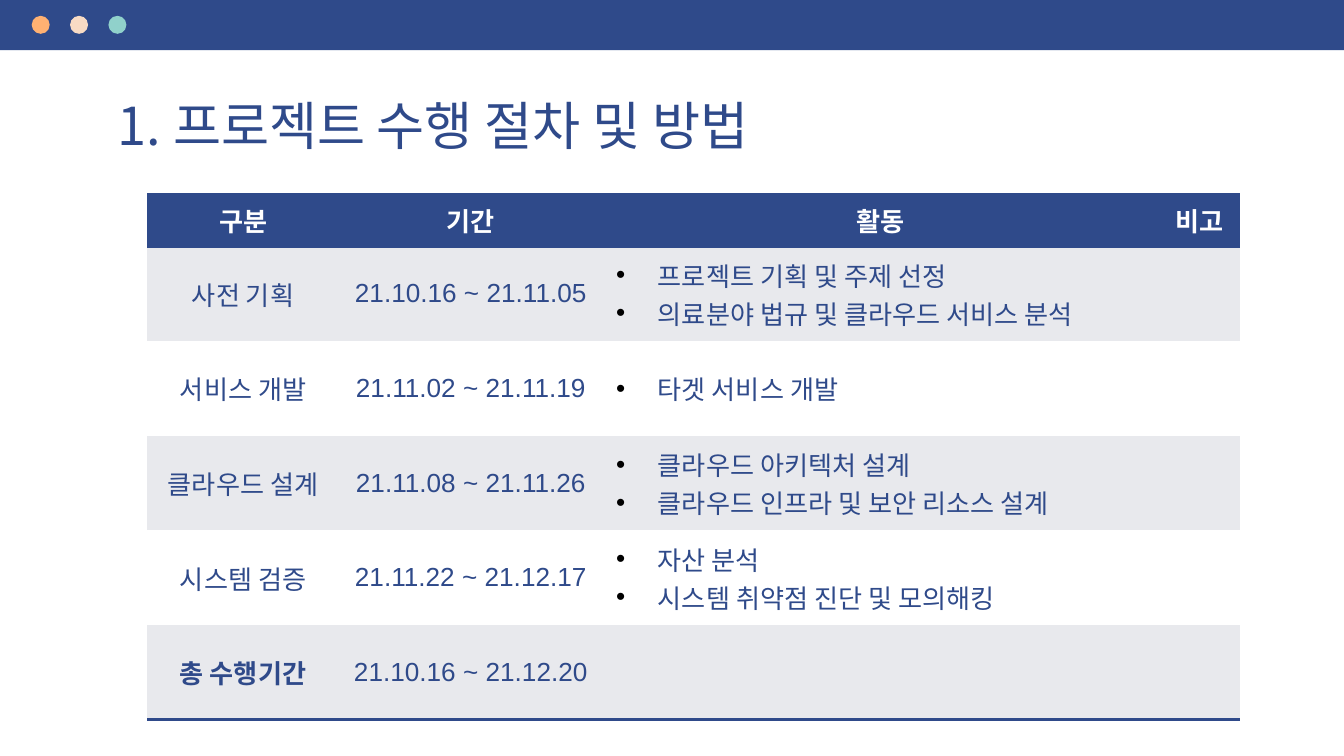
"""Builds a slide with a project schedule table under a window-style title bar."""
from lxml import etree
from pptx import Presentation
from pptx.dml.color import RGBColor
from pptx.enum.shapes import MSO_SHAPE
from pptx.enum.text import MSO_ANCHOR, PP_ALIGN
from pptx.oxml.ns import qn
from pptx.util import Cm, Pt

RECT, OVAL = MSO_SHAPE.RECTANGLE, MSO_SHAPE.OVAL
TOP, MIDDLE = MSO_ANCHOR.TOP, MSO_ANCHOR.MIDDLE
LEFT, CENTER = PP_ALIGN.LEFT, PP_ALIGN.CENTER

NAVY = RGBColor(0x2F, 0x4A, 0x8A)
ORANGE = RGBColor(0xFF, 0xB1, 0x72)
PEACH = RGBColor(0xF8, 0xDB, 0xC4)
TEAL = RGBColor(0x90, 0xD1, 0xCB)
GREY = RGBColor(0xE8, 0xE9, 0xED)
WHITE = RGBColor(0xFF, 0xFF, 0xFF)
BLACK = RGBColor(0, 0, 0)

TITLE_FONT, TABLE_FONT = "Noto Sans CJK KR", "Arial"
HEADER = ["구분", "기간", "활동", "비고"]
SCHEDULE = [
    ("사전 기획", "21.10.16 ~ 21.11.05",
     ["프로젝트 기획 및 주제 선정", "의료분야 법규 및 클라우드 서비스 분석"]),
    ("서비스 개발", "21.11.02 ~ 21.11.19", ["타겟 서비스 개발"]),
    ("클라우드 설계", "21.11.08 ~ 21.11.26",
     ["클라우드 아키텍처 설계", "클라우드 인프라 및 보안 리소스 설계"]),
    ("시스템 검증", "21.11.22 ~ 21.12.17",
     ["자산 분석", "시스템 취약점 진단 및 모의해킹"]),
    ("총 수행기간", "21.10.16 ~ 21.12.20", []),
]
COLUMN_WIDTHS = [3.63, 4.98, 10.52, 1.52]
HEADER_HEIGHT, ROW_HEIGHT = 0.97, 1.79


def add_plain_shape(slide, kind, x, y, w, h, color):
    """Add a filled shape without line or shadow."""
    s = slide.shapes.add_shape(kind, Cm(x), Cm(y), Cm(w), Cm(h))
    s.shadow.inherit = False
    s.fill.solid()
    s.fill.fore_color.rgb = color
    s.line.fill.background()


def add_run(p, text, font, size, color, bold=False):
    """Append a formatted run to a paragraph."""
    r = p.add_run()
    r.text = text
    r.font.name, r.font.size, r.font.bold = font, Pt(size), bold
    r.font.color.rgb = color
    ea = etree.SubElement(r.font._element, qn("a:ea"))
    ea.set("typeface", TITLE_FONT)


def add_title(slide, text):
    """Add the slide heading."""
    tf = slide.shapes.add_textbox(Cm(1.98), Cm(1.52), Cm(21.44), Cm(1.3)).text_frame
    tf.word_wrap = True
    tf.vertical_anchor = TOP
    tf.margin_left = tf.margin_right = tf.margin_top = tf.margin_bottom = Cm(0.25)
    add_run(tf.paragraphs[0], text, TITLE_FONT, 28, NAVY)


def set_bullet(p):
    """Give a paragraph a hanging black bullet."""
    pPr = p._p.get_or_add_pPr()
    pPr.set("marL", str(Cm(0.79)))
    pPr.set("indent", str(-Cm(0.79)))
    color = etree.SubElement(pPr, qn("a:buClr"))
    etree.SubElement(color, qn("a:srgbClr")).set("val", str(BLACK))
    etree.SubElement(pPr, qn("a:buFont")).set("typeface", TABLE_FONT)
    etree.SubElement(pPr, qn("a:buChar")).set("char", "•")


def set_borders(cell, colors):
    """Draw left, right, top and bottom borders; None leaves a side open."""
    tcPr = cell._tc.get_or_add_tcPr()
    for i, (side, color) in enumerate(zip("LRTB", colors)):
        ln = etree.Element(qn(f"a:ln{side}"))
        if color is None:
            etree.SubElement(ln, qn("a:noFill"))
        else:
            ln.set("w", str(Pt(2)))
            fill = etree.SubElement(ln, qn("a:solidFill"))
            etree.SubElement(fill, qn("a:srgbClr")).set("val", str(color))
        tcPr.insert(i, ln)


def fill_cell(cell, lines, fill, color, bold=False, bulleted=False):
    """Colour a cell and write its lines."""
    cell.fill.solid()
    cell.fill.fore_color.rgb = fill
    cell.vertical_anchor = MIDDLE
    tf = cell.text_frame
    for i, line in enumerate(lines):
        p = tf.add_paragraph() if i else tf.paragraphs[0]
        p.alignment = LEFT if bulleted else CENTER
        if bulleted:
            set_bullet(p)
        add_run(p, line, TABLE_FONT, 14, color, bold)


def add_schedule(slide):
    """Add the schedule table with ruled header and closing line."""
    rows, cols = len(SCHEDULE) + 1, len(HEADER)
    height = HEADER_HEIGHT + ROW_HEIGHT * len(SCHEDULE)
    table = slide.shapes.add_table(rows, cols, Cm(2.78), Cm(3.68),
                                   Cm(sum(COLUMN_WIDTHS)), Cm(height)).table
    table.first_row = table.horz_banding = False
    for column, width in zip(table.columns, COLUMN_WIDTHS):
        column.width = Cm(width)
    for i, row in enumerate(table.rows):
        row.height = Cm(ROW_HEIGHT if i else HEADER_HEIGHT)
    for c, label in enumerate(HEADER):
        fill_cell(table.cell(0, c), [label], NAVY, WHITE, bold=True)
    for r, (phase, period, tasks) in enumerate(SCHEDULE, 1):
        fill = GREY if r % 2 else WHITE
        fill_cell(table.cell(r, 0), [phase], fill, NAVY, bold=r == len(SCHEDULE))
        fill_cell(table.cell(r, 1), [period], fill, NAVY)
        fill_cell(table.cell(r, 2), tasks, fill, NAVY, bulleted=True)
        fill_cell(table.cell(r, 3), [], fill, NAVY)
    rules = [NAVY if edge in (0, 1, rows) else None for edge in range(rows + 1)]
    for r in range(rows):
        for c in range(cols):
            set_borders(table.cell(r, c), (None, None, rules[r], rules[r + 1]))


def main():
    """Build and save the slide."""
    prs = Presentation()
    prs.slide_width, prs.slide_height = Cm(25.4), Cm(14.29)
    slide = prs.slides.add_slide(prs.slide_layouts[6])
    add_plain_shape(slide, RECT, 0, 0, 25.4, 0.95, NAVY)
    for i, color in enumerate((ORANGE, PEACH, TEAL)):
        add_plain_shape(slide, OVAL, 0.6 + 0.725 * i, 0.3, 0.34, 0.34, color)
    add_schedule(slide)
    add_title(slide, "1. 프로젝트 수행 절차 및 방법")
    prs.save("out.pptx")


if __name__ == "__main__":
    main()
